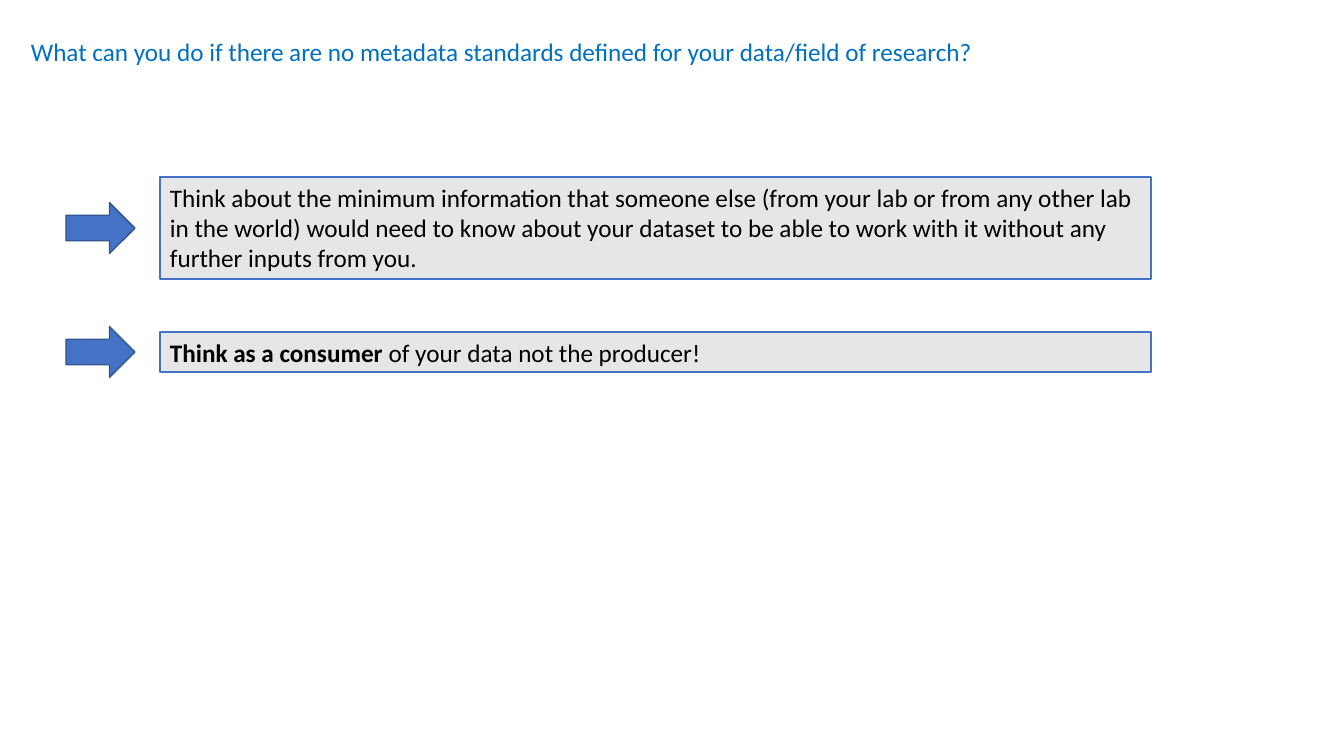
from pptx import Presentation
from pptx.dml.color import RGBColor
from pptx.enum.shapes import MSO_SHAPE
from pptx.enum.text import MSO_ANCHOR, MSO_AUTO_SIZE, PP_ALIGN
from pptx.util import Emu, Pt

RECTANGLE, DOWN_ARROW = MSO_SHAPE.RECTANGLE, MSO_SHAPE.DOWN_ARROW
TOP, LEFT = MSO_ANCHOR.TOP, PP_ALIGN.LEFT
FIT_SHAPE = MSO_AUTO_SIZE.SHAPE_TO_FIT_TEXT

THEME = {
    "font": "Calibri",
    "size": 18,
    "title": "0070C0",
    "text": "000000",
    "panel": "E7E6E6",
    "accent": "4472C4",
    "arrow_line": "325491",
}
EMU_PER_PX = 914400 / 100.8


def px(*lengths):
    return [Emu(round(length * EMU_PER_PX)) for length in lengths]


def write_text(holder, text, color=THEME["text"], bold_lead=""):
    """Fill the holder with one left-aligned paragraph, opening with bold_lead in bold."""
    frame = holder.text_frame
    frame.word_wrap = True
    frame.auto_size = FIT_SHAPE
    frame.vertical_anchor = TOP
    paragraph = frame.paragraphs[0]
    paragraph.alignment = LEFT
    for part, bold in ((bold_lead, True), (text, False)):
        if part:
            run = paragraph.add_run()
            run.text = part
            run.font.name = THEME["font"]
            run.font.size = Pt(THEME["size"])
            run.font.bold = bold
            run.font.color.rgb = RGBColor.from_string(color)


presentation = Presentation()
presentation.slide_width, presentation.slide_height = px(1344, 756)
slide = presentation.slides.add_slide(presentation.slide_layouts[6])

question = slide.shapes.add_textbox(*px(21, 31, 1253, 40))
write_text(
    question,
    "What can you do if there are no metadata standards defined for your data/field of research?",
    color=THEME["title"],
)

# Top, height, bold opening words and remaining words of each piece of advice
ADVICE = [
    (177, 102, "",
     "Think about the minimum information that someone else (from your lab or from any "
     "other lab in the world) would need to know about your dataset to be able to work "
     "with it without any further inputs from you."),
    (332, 40, "Think as a consumer", " of your data not the producer!"),
]
PANEL_LEFT, PANEL_WIDTH = 160, 991
ARROW_LEFT, ARROW_WIDTH, ARROW_LENGTH = 75, 51, 69

for top, height, lead, words in ADVICE:
    panel = slide.shapes.add_shape(RECTANGLE, *px(PANEL_LEFT, top, PANEL_WIDTH, height))
    write_text(panel, words, bold_lead=lead)

    arrow_top = top + (height - ARROW_LENGTH) / 2
    arrow = slide.shapes.add_shape(
        DOWN_ARROW, *px(ARROW_LEFT, arrow_top, ARROW_WIDTH, ARROW_LENGTH))
    arrow.rotation = 270

    for shape, fill, line in (
        (panel, THEME["panel"], THEME["accent"]),
        (arrow, THEME["accent"], THEME["arrow_line"]),
    ):
        shape.shadow.inherit = False
        shape.fill.solid()
        shape.fill.fore_color.rgb = RGBColor.from_string(fill)
        shape.line.color.rgb = RGBColor.from_string(line)
        shape.line.width = Pt(1)

presentation.save("out.pptx")
